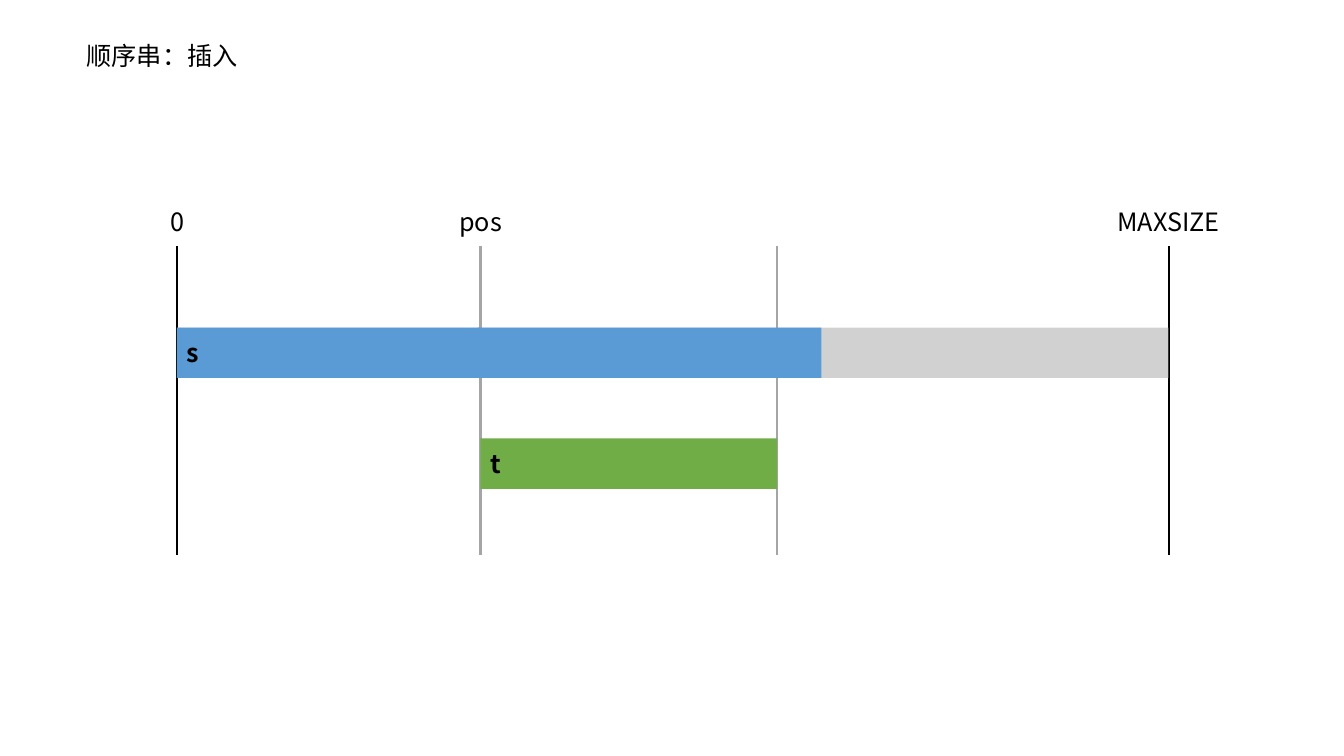
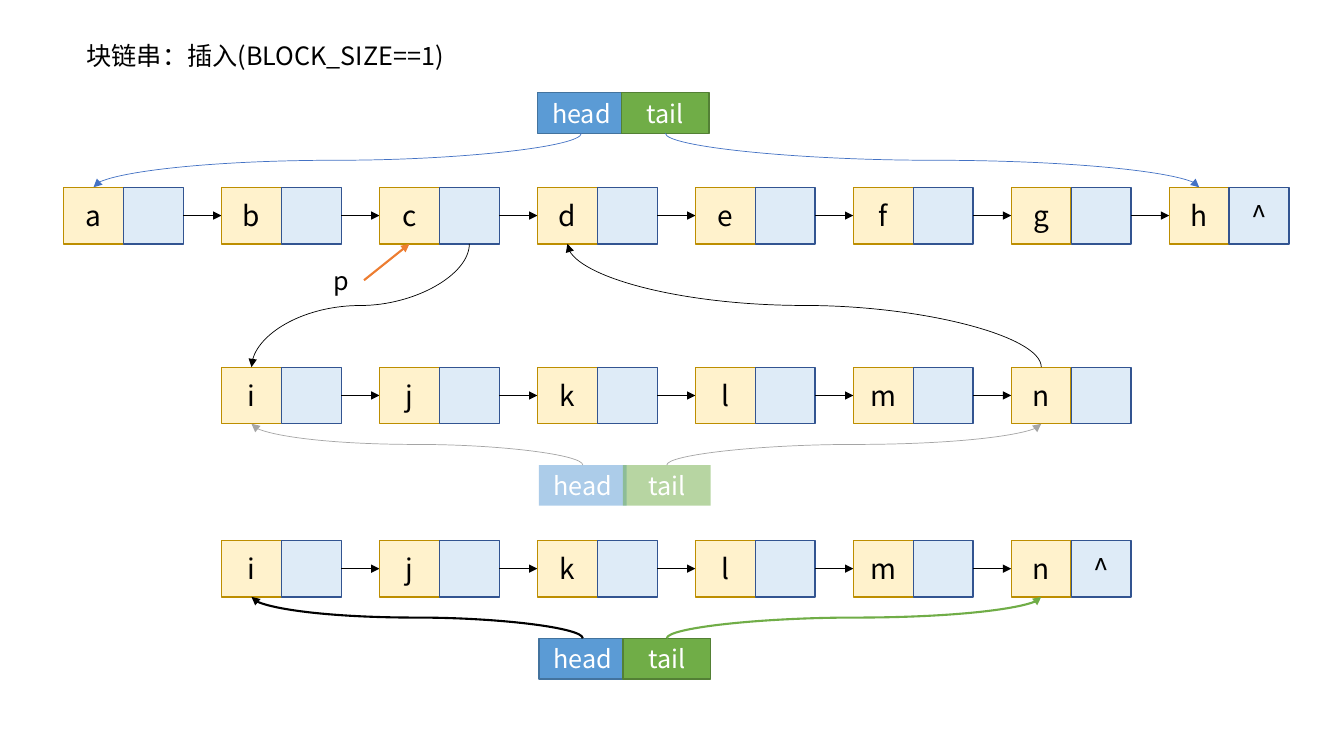
from dataclasses import dataclass

from pptx import Presentation
from pptx import util as u
from pptx.dml.color import RGBColor
from pptx.enum import shapes, text
from pptx.oxml import ns
from pptx.oxml.xmlchemy import OxmlElement
from pptx.slide import Slide

Pt = u.Pt
FONT = "Noto Sans CJK SC"
COLORS = {
    "black": "000000", "white": "FFFFFF", "gray": "A5A5A5",
    "blue": "5B9BD5", "blue_edge": "43739E", "green": "70AD47", "green_edge": "538035",
    "data": "FFF2CC", "data_edge": "BD8E00", "link": "DEEBF7", "link_edge": "325491",
    "pointer": "4472C4", "orange": "ED7D31",
}
LEFT, CENTER = text.PP_ALIGN.LEFT, text.PP_ALIGN.CENTER
CELL_W, CELL_H = 42.8, 40.4
FIRST_X, PITCH = 45.4, 112.83
HEAD_W, HEAD_H, TAIL_DX = 62.6, 29, 60


@dataclass(frozen=True)
class Box:
    x: float
    y: float
    w: float
    h: float
    label: str = ""
    fill: str = ""
    edge: str = ""
    size: float = 18
    color: str = "black"
    bold: bool = False
    align: text.PP_ALIGN = CENTER
    alpha: int = 100


@dataclass(frozen=True)
class Line:
    x1: float
    y1: float
    x2: float
    y2: float
    color: str = "black"
    width: float = 1
    arrow: bool = True
    curved: bool = False


@dataclass(frozen=True)
class Chain:
    y: float
    letters: str
    column: int
    last_link: str
    head_x: float
    head_y: float
    head_color: str
    tail_color: str
    width: float
    faded: bool = False


def rgb(name: str) -> RGBColor:
    return RGBColor.from_string(COLORS[name])


def draw_box(s: Slide, b: Box) -> None:
    at = Pt(b.x), Pt(b.y), Pt(b.w), Pt(b.h)
    if b.fill:
        sp = s.shapes.add_shape(shapes.MSO_SHAPE.RECTANGLE, *at)
        sp.shadow.inherit = False
        sp.fill.solid()
        sp.fill.fore_color.rgb = rgb(b.fill)
        if b.alpha < 100:
            alpha = OxmlElement("a:alpha")
            alpha.set("val", str(b.alpha * 1000))
            sp._element.spPr.find(".//" + ns.qn("a:srgbClr")).append(alpha)
        if b.edge:
            sp.line.color.rgb = rgb(b.edge)
            sp.line.width = Pt(1)
        else:
            sp.line.fill.background()
    else:
        sp = s.shapes.add_textbox(*at)
    if not b.label:
        return
    tf = sp.text_frame
    tf.word_wrap = True
    tf.margin_top = tf.margin_bottom = 0
    tf.vertical_anchor = text.MSO_ANCHOR.MIDDLE
    p = tf.paragraphs[0]
    p.alignment = b.align
    r = p.add_run()
    r.text = b.label
    r.font.name = FONT
    r.font.size = Pt(b.size)
    r.font.bold = b.bold
    r.font.color.rgb = rgb(b.color)
    ea = OxmlElement("a:ea")
    ea.set("typeface", FONT)
    r.font._element.find(ns.qn("a:latin")).addnext(ea)


def draw_line(s: Slide, line: Line) -> None:
    x1, y1, x2, y2 = line.x1, line.y1, line.x2, line.y2
    kind = shapes.MSO_CONNECTOR.STRAIGHT
    turn = 0
    if line.curved:
        kind = shapes.MSO_CONNECTOR.CURVE
        cx, cy, dx, dy = (x1 + x2) / 2, (y1 + y2) / 2, x2 - x1, y2 - y1
        turn = 90 if dx * dy < 0 else 270
        half = 0.5 if turn == 90 else -0.5
        x1, y1 = cx - half * dy, cy + half * dx
        x2, y2 = cx + half * dy, cy - half * dx
    sp = s.shapes.add_connector(kind, Pt(x1), Pt(y1), Pt(x2), Pt(y2))
    sp.line.color.rgb = rgb(line.color)
    sp.line.width = Pt(line.width)
    props = sp._element.spPr
    if turn:
        props.find(ns.qn("a:xfrm")).set("rot", str(turn * 60000))
    if line.arrow:
        end = OxmlElement("a:tailEnd")
        end.set("type", "triangle")
        props.find(ns.qn("a:ln")).append(end)
    props.append(OxmlElement("a:effectLst"))


def add_slide(prs, title: str, width: float) -> Slide:
    s = prs.slides.add_slide(prs.slide_layouts[6])
    draw_box(s, Box(54.7, 25.2, width, 29, title, align=LEFT))
    return s


def column_x(column: int) -> float:
    return FIRST_X + PITCH * column


def draw_chain(s: Slide, c: Chain) -> None:
    last = len(c.letters) - 1
    for i, letter in enumerate(c.letters):
        x = column_x(c.column + i)
        draw_box(s, Box(x, c.y, CELL_W, CELL_H, letter, "data", "data_edge", 20))
        draw_box(s, Box(x + CELL_W, c.y, CELL_W, CELL_H,
                        c.last_link if i == last else "", "link", "link_edge", 20))
        if i < last:
            mid = c.y + CELL_H / 2
            draw_line(s, Line(x + 2 * CELL_W, mid, x + PITCH, mid))
    above = c.head_y < c.y
    start = c.head_y + (HEAD_H if above else 0)
    target = c.y + (0 if above else CELL_H)
    ends = (("head", "blue", c.head_color, 0), ("tail", "green", c.tail_color, last))
    for i, (label, fill, color, node) in enumerate(ends):
        x = c.head_x + TAIL_DX * i
        draw_box(s, Box(x, c.head_y, HEAD_W, HEAD_H, label, fill,
                        "" if c.faded else fill + "_edge", color="white",
                        alpha=50 if c.faded else 100))
        draw_line(s, Line(x + HEAD_W / 2, start,
                          column_x(c.column + node) + CELL_W / 2, target,
                          color, c.width, curved=True))


def sequential_slide(prs) -> None:
    s = add_slide(prs, "顺序串：插入", 161.3)
    zero, pos, pos_end, maximum = 126.4, 343.2, 555.1, 834.8
    for x, color in ((zero, "black"), (pos, "gray"), (pos_end, "gray"), (maximum, "black")):
        draw_line(s, Line(x, 175.7, x, 396.7, color, 1.5, arrow=False))
    bar_y, bar_h = 234, 36
    boxes = (
        Box(114.5, 144, 65.5, 29, "0", align=LEFT),
        Box(310.5, 144, 65.5, 29, "pos"),
        Box(782.8, 144, 104, 29, "MAXSIZE"),
        Box(zero, bar_y, maximum - zero, bar_h, fill="gray", alpha=50),
        Box(341.3, bar_y, 245.5, bar_h, fill="blue"),
        Box(zero, bar_y, 217.4, bar_h, "s", "blue", bold=True, align=LEFT),
        Box(pos, 313.2, pos_end - pos, bar_h, "t", "green", bold=True, align=LEFT),
    )
    for b in boxes:
        draw_box(s, b)


def linked_slide(prs) -> None:
    s = add_slide(prs, "块链串：插入(BLOCK_SIZE==1)", 280.8)
    top, middle, bottom = 133.8, 262.3, 386
    chains = (
        Chain(top, "abcdefgh", 0, "^", 384, 66.2, "pointer", "pointer", 0.5),
        Chain(bottom, "ijklmn", 1, "^", 385, 456, "black", "green", 1.5),
        Chain(middle, "ijklmn", 1, "", 385, 332.2, "gray", "gray", 0.5, True),
    )
    for c in chains:
        draw_chain(s, c)
    half, under = CELL_W / 2, top + CELL_H
    draw_box(s, Box(228.2, 185.8, 31.7, 29, "p"))
    c_x, i_x, d_x, n_x = (column_x(n) + half for n in (2, 1, 3, 6))
    draw_line(s, Line(260, 200.2, c_x, under, "orange", 1.5))
    draw_line(s, Line(c_x + CELL_W, under, i_x, middle, width=0.5, curved=True))
    draw_line(s, Line(n_x, middle, d_x, under, width=0.5, curved=True))


prs = Presentation()
prs.slide_width, prs.slide_height = Pt(960), Pt(540)
sequential_slide(prs)
linked_slide(prs)
prs.save("out.pptx")
